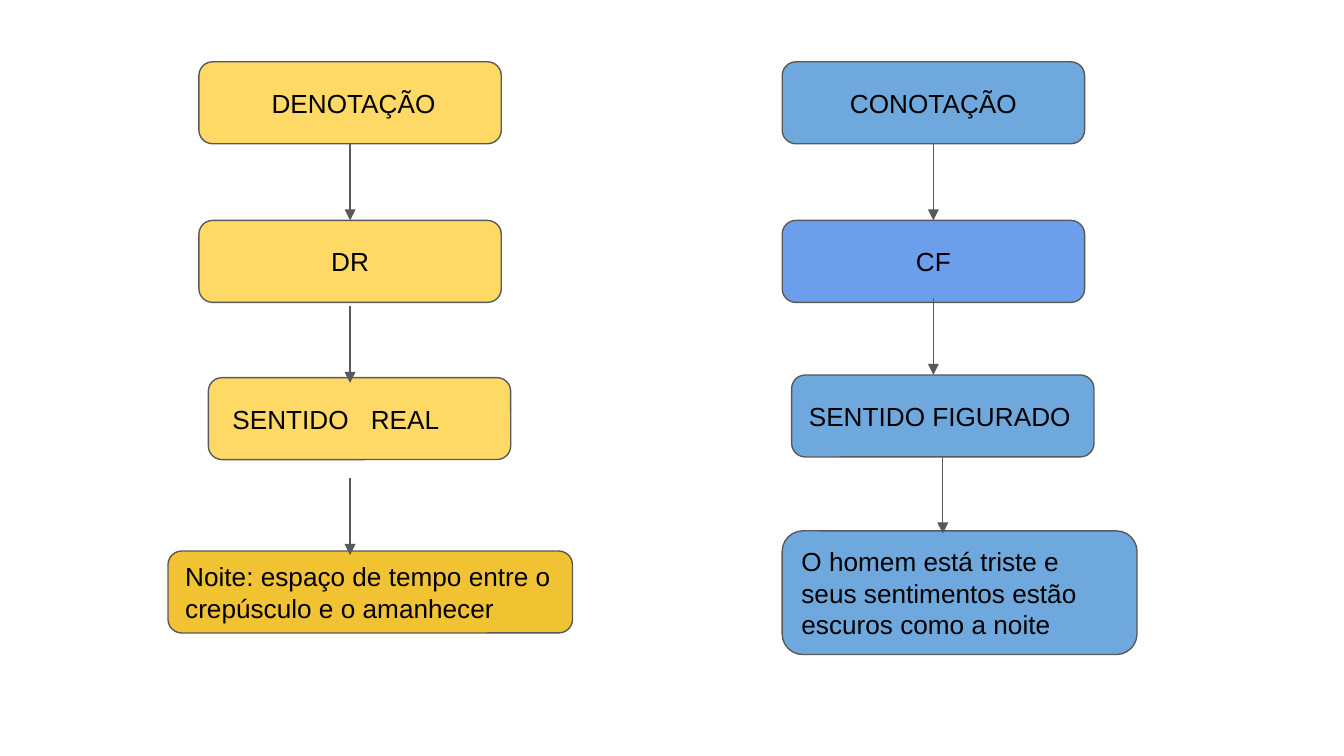
from lxml import etree
from pptx import Presentation
from pptx.dml.color import RGBColor
from pptx.enum import shapes, text
from pptx.oxml.ns import qn
from pptx.util import Inches, Pt

SLIDE_WIDTH = 10
SLIDE_HEIGHT = SLIDE_WIDTH * 9 / 16
YELLOW, GOLD, BLUE, INDIGO = "FFD966", "F1C232", "6FA8DC", "6D9EEB"
GRAY, BLACK = "595959", "000000"
BOX_WIDTH, BOX_HEIGHT, ARROW_LENGTH = 2.25, 0.61, 0.57
CENTER, LEFT = text.PP_ALIGN.CENTER, text.PP_ALIGN.LEFT

COLUMNS = [
    {
        "left": 1.48,
        "boxes": [
            dict(label="DENOTAÇÃO", top=0.46, color=YELLOW, align=CENTER, inset=0.15),
            dict(label="DR", top=1.64, color=YELLOW, align=CENTER),
            dict(label="SENTIDO\tREAL", top=2.81, color=YELLOW, shift=0.07,
                 inset=0.15, tab=1.03),
            dict(label="Noite: espaço de tempo entre o crepúsculo e o amanhecer",
                 top=4.1, color=GOLD, shift=-0.23, width=3.01),
        ],
        "arrows": [(0, 1.07), (0, 2.28), (0, 3.56)],
    },
    {
        "left": 5.82,
        "boxes": [
            dict(label="CONOTAÇÃO", top=0.46, color=BLUE, align=CENTER),
            dict(label="CF", top=1.64, color=INDIGO, align=CENTER),
            dict(label="SENTIDO FIGURADO", top=2.79, color=BLUE, shift=0.07),
            dict(label="O homem está triste e seus sentimentos estão escuros como a noite",
                 top=3.95, color=BLUE, width=2.64, height=0.92),
        ],
        "arrows": [(0, 1.07), (0, 2.22), (0.07, 3.4)],
    },
]


def rgb(color):
    return RGBColor.from_string(color)


def style_line(line):
    line.color.rgb = rgb(GRAY)
    line.width = Pt(0.75)


def write(frame, label, align=LEFT, inset=0.1, tab=None, size=14, color=BLACK):
    frame.word_wrap = True
    frame.vertical_anchor = text.MSO_ANCHOR.MIDDLE
    frame.margin_left = Inches(inset)
    frame.margin_right = frame.margin_top = frame.margin_bottom = Inches(0.1)
    paragraph = frame.paragraphs[0]
    paragraph.alignment = align
    if tab:
        stops = etree.SubElement(paragraph._p.get_or_add_pPr(), qn("a:tabLst"))
        etree.SubElement(stops, qn("a:tab"), pos=str(Inches(tab)), algn="l")
    run = paragraph.add_run()
    run.text = label
    run.font.name = "Arial"
    run.font.size = Pt(size)
    run.font.color.rgb = rgb(color)


def add_box(slide, column_left, label, top, color, shift=0,
            width=BOX_WIDTH, height=BOX_HEIGHT, **text_format):
    box = slide.shapes.add_shape(
        shapes.MSO_SHAPE.ROUNDED_RECTANGLE,
        Inches(column_left + shift), Inches(top), Inches(width), Inches(height))
    box.shadow.inherit = False
    box.fill.solid()
    box.fill.fore_color.rgb = rgb(color)
    style_line(box.line)
    write(box.text_frame, label, **text_format)


def add_arrow(slide, x, top):
    arrow = slide.shapes.add_connector(
        shapes.MSO_CONNECTOR.STRAIGHT,
        Inches(x), Inches(top), Inches(x), Inches(top + ARROW_LENGTH))
    style_line(arrow.line)
    etree.SubElement(arrow.line._get_or_add_ln(), qn("a:tailEnd"), type="triangle")
    etree.SubElement(arrow._element.spPr, qn("a:effectLst"))


def main():
    deck = Presentation()
    deck.slide_width, deck.slide_height = Inches(SLIDE_WIDTH), Inches(SLIDE_HEIGHT)
    slide = deck.slides.add_slide(deck.slide_layouts[6])
    for column in COLUMNS:
        for box in column["boxes"]:
            add_box(slide, column["left"], **box)
        for shift, top in column["arrows"]:
            add_arrow(slide, column["left"] + BOX_WIDTH / 2 + shift, top)
    deck.save("out.pptx")


if __name__ == "__main__":
    main()
